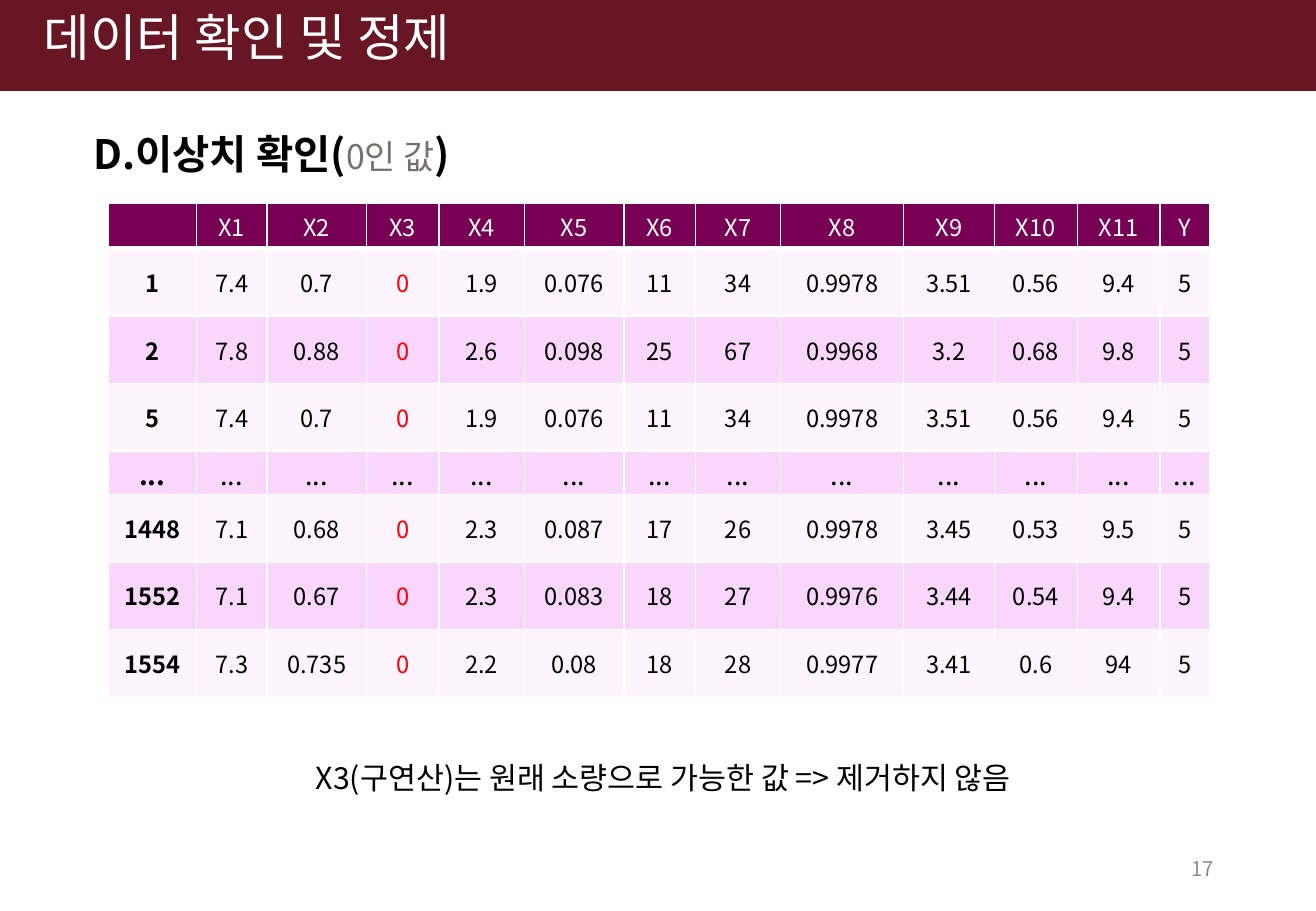
from pptx import Presentation
from pptx import util as u
from pptx.dml.color import RGBColor
from pptx.enum import shapes, text
from pptx.oxml import ns, xmlchemy

FONT = "Noto Sans CJK KR"
WINE = RGBColor(0x68, 0x15, 0x24)
PLUM = RGBColor(0x77, 0x00, 0x55)
PALE = RGBColor(0xFE, 0xF4, 0xFE)
PINK = RGBColor(0xF9, 0xD6, 0xFC)
WHITE = RGBColor(0xFF, 0xFF, 0xFF)
BLACK = RGBColor(0x00, 0x00, 0x00)
RED = RGBColor(0xFF, 0x00, 0x00)
GREY = RGBColor(0x76, 0x71, 0x71)
SILVER = RGBColor(0x8C, 0x8C, 0x8C)

WIDTHS = [1.85, 1.47, 2.08, 1.52, 1.78, 2.08, 1.5, 1.78, 2.57, 1.9, 1.73, 1.73, 1.04]
HEADS = [""] + [f"X{n}" for n in range(1, 12)] + ["Y"]
ROWS = [
    "1 7.4 0.7 0 1.9 0.076 11 34 0.9978 3.51 0.56 9.4 5".split(),
    "2 7.8 0.88 0 2.6 0.098 25 67 0.9968 3.2 0.68 9.8 5".split(),
    "5 7.4 0.7 0 1.9 0.076 11 34 0.9978 3.51 0.56 9.4 5".split(),
    ["..."] * len(HEADS),
    "1448 7.1 0.68 0 2.3 0.087 17 26 0.9978 3.45 0.53 9.5 5".split(),
    "1552 7.1 0.67 0 2.3 0.083 18 27 0.9976 3.44 0.54 9.4 5".split(),
    "1554 7.3 0.735 0 2.2 0.08 18 28 0.9977 3.41 0.6 94 5".split(),
]


def write(frame, words, size=14, color=BLACK, bold=False, align=text.PP_ALIGN.LEFT):
    para = frame.paragraphs[0]
    para.alignment = align
    run = para.add_run()
    run.text = words
    font = run.font
    font.size = u.Pt(size)
    font.bold = bold
    font.color.rgb = color
    font.name = FONT
    face = xmlchemy.OxmlElement("a:ea")
    face.set("typeface", FONT)
    font._element.append(face)
    return para


def make_box(slide, box, anchor=text.MSO_ANCHOR.TOP):
    frame = slide.shapes.add_textbox(*map(u.Cm, box)).text_frame
    frame.word_wrap = True
    frame.vertical_anchor = anchor
    return frame


def border(cell, last):
    props = cell._tc.get_or_add_tcPr()
    for at, side in enumerate(("lnL", "lnR", "lnT", "lnB")):
        line = xmlchemy.OxmlElement(f"a:{side}")
        line.set("w", str(u.Pt(last if side == "lnB" else 1)))
        fill = xmlchemy.OxmlElement("a:solidFill")
        tint = xmlchemy.OxmlElement("a:srgbClr")
        tint.set("val", str(WHITE))
        fill.append(tint)
        line.append(fill)
        props.insert(at, line)


def header(slide, box):
    left, top, width, height = box
    band = slide.shapes.add_shape(shapes.MSO_SHAPE.RECTANGLE, *map(u.Cm, box))
    band.shadow.inherit = False
    band.fill.solid()
    band.fill.fore_color.rgb = WINE
    band.line.fill.background()
    title = slide.shapes.title
    title._element.addprevious(band._element)
    title.left, title.top = u.Cm(left + 0.66), u.Cm(top + 0.15)
    title.width, title.height = u.Cm(width - 2.1), u.Cm(height)
    title.text_frame.vertical_anchor = text.MSO_ANCHOR.TOP
    para = write(title.text_frame, "데이터 확인 및 정제", size=30, color=WHITE)
    para.line_spacing = 0.9


def heading(slide, box):
    frame = make_box(slide, box)
    write(frame, "D.이상치 확인(", size=24, bold=True)
    write(frame, "0인 값", size=20, color=GREY)
    write(frame, ")", size=24, bold=True)


def grid(slide, box):
    data = [HEADS] + ROWS
    table = slide.shapes.add_table(len(data), len(HEADS), *map(u.Cm, box)).table
    for col, width in zip(table.columns, WIDTHS):
        col.width = u.Cm(width)
    for r, row in enumerate(data):
        dots = row[0] == "..."
        table.rows[r].height = u.Cm(0.95 if r == 0 else 0.91 if dots else 1.41)
        for c, words in enumerate(row):
            cell = table.cell(r, c)
            cell.margin_left = cell.margin_right = u.Cm(0.1)
            cell.margin_top = u.Cm(0.08)
            cell.margin_bottom = u.Cm(0 if dots else 0.08)
            cell.vertical_anchor = text.MSO_ANCHOR.TOP if dots else text.MSO_ANCHOR.MIDDLE
            cell.fill.solid()
            cell.fill.fore_color.rgb = PLUM if r == 0 else PALE if r % 2 else PINK
            border(cell, 3 if r == 0 else 1)
            color = WHITE if r == 0 else RED if c == 3 and not dots else BLACK
            if words:
                write(cell.text_frame, words, size=16 if dots else 14, color=color,
                      bold=r > 0 and c == 0, align=text.PP_ALIGN.CENTER)


def note(slide, box):
    write(make_box(slide, box), "X3(구연산)는 원래 소량으로 가능한 값 => 제거하지 않음", size=18)


def number(slide, box):
    write(make_box(slide, box, text.MSO_ANCHOR.MIDDLE), "17", size=12,
          color=SILVER, align=text.PP_ALIGN.RIGHT)


def main():
    deck = Presentation()
    deck.slide_width, deck.slide_height = u.Cm(27.51), u.Cm(19.05)
    slide = deck.slides.add_slide(deck.slide_layouts[5])
    header(slide, (0, 0, 27.51, 1.9))
    grid(slide, (2.26, 4.25, 23.03, 10.38))
    heading(slide, (1.7, 2.57, 17.48, 1.3))
    note(slide, (6.35, 15.75, 17.63, 1.02))
    number(slide, (19.43, 17.65, 6.2, 1.02))
    deck.save("out.pptx")


if __name__ == "__main__":
    main()
